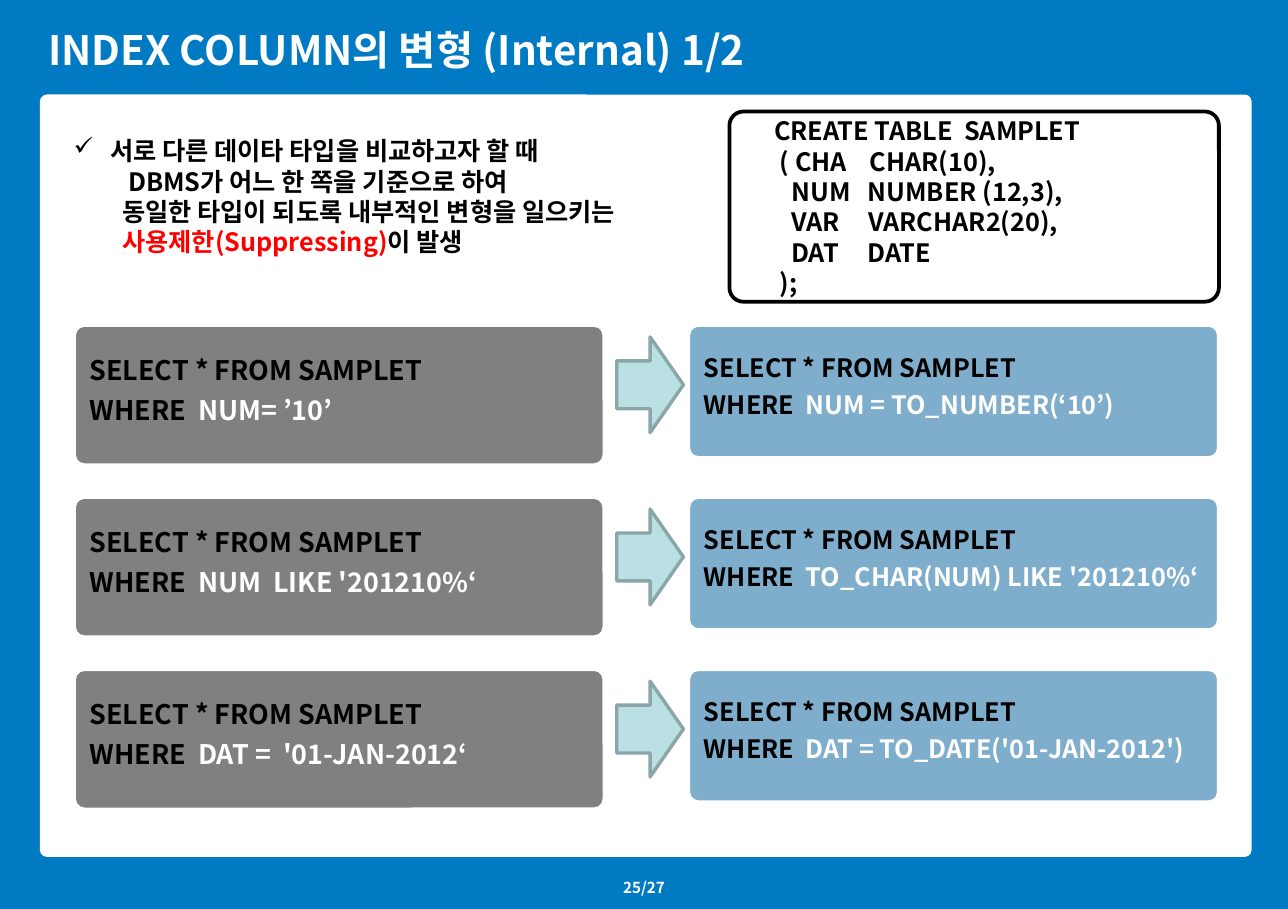
import pptx
import pptx.util
import pptx.dml.color
import pptx.enum.shapes
import pptx.enum.text
import pptx.oxml
import pptx.oxml.ns

Inches, Pt = pptx.util.Inches, pptx.util.Pt
RGBColor = pptx.dml.color.RGBColor
SHAPE = pptx.enum.shapes.MSO_SHAPE
ANCHOR = pptx.enum.text.MSO_ANCHOR
ALIGN = pptx.enum.text.PP_ALIGN

BLUE = RGBColor(0x00, 0x7A, 0xC3)
WHITE = RGBColor(0xFF, 0xFF, 0xFF)
BLACK = RGBColor(0, 0, 0)
RED = RGBColor(0xFF, 0, 0)
GRAY = RGBColor(0x80, 0x80, 0x80)
DEEP_BLUE = RGBColor(0x00, 0x5F, 0x9A)
PALE_TEAL = RGBColor(0xBB, 0xE0, 0xE3)
TEAL_EDGE = RGBColor(0x8A, 0xA6, 0xA8)
FONT = "Noto Sans CJK KR"

QUERIES = [
    ("NUM= ’10’", "NUM = TO_NUMBER(‘10’)"),
    ("NUM  LIKE '201210%‘", "TO_CHAR(NUM) LIKE '201210%‘"),
    ("DAT =  '01-JAN-2012‘", "DAT = TO_DATE('01-JAN-2012')"),
]
TABLE_CODE = [
    "     CREATE TABLE  SAMPLET",
    "      ( CHA    CHAR(10),",
    "        NUM   NUMBER (12,3),",
    "        VAR     VARCHAR2(20),",
    "        DAT     DATE",
    "      );",
]
# Left margin in inches and coloured runs of each line
EXPLANATION = [
    (0.3, [("서로 다른 데이타 타입을 비교하고자 할 때", BLACK)]),
    (0.45, [("DBMS가 어느 한 쪽을 기준으로 하여", BLACK)]),
    (0.4, [("동일한 타입이 되도록 내부적인 변형을 일으키는", BLACK)]),
    (0.4, [("사용제한(Suppressing)", RED), ("이 발생", BLACK)]),
]


def add_xml(parent, tag, **attributes):
    child = pptx.oxml.parse_xml(f"<a:{tag} {pptx.oxml.ns.nsdecls('a')}/>")
    for key, value in attributes.items():
        child.set(key, value)
    parent.append(child)


def write_line(frame, index, runs, size):
    line = frame.paragraphs[0] if index == 0 else frame.add_paragraph()
    line.alignment = ALIGN.LEFT
    for text, color in runs:
        run = line.add_run()
        run.text = text
        run.font.size, run.font.bold, run.font.name = Pt(size), True, FONT
        run.font.color.rgb = color
        add_xml(run.font._element, "ea", typeface=FONT)
    return line


def add_panel(slide, kind, box, fill=None, edge=None, edge_width=1, corner=None):
    panel = slide.shapes.add_shape(kind, *map(Inches, box))
    panel.shadow.inherit = False
    if corner is not None:
        panel.adjustments[0] = corner
    if fill is None:
        panel.fill.background()
    else:
        panel.fill.solid()
        panel.fill.fore_color.rgb = fill
    if edge is None:
        panel.line.fill.background()
    else:
        panel.line.color.rgb = edge
        panel.line.width = Pt(edge_width)
    return panel


def add_text_frame(slide, box, anchor=ANCHOR.TOP):
    frame = slide.shapes.add_textbox(*map(Inches, box)).text_frame
    frame.word_wrap = True
    frame.vertical_anchor = anchor
    return frame


def add_page_frame(slide, width, height):
    slide.background.fill.solid()
    slide.background.fill.fore_color.rgb = BLUE
    add_panel(slide, SHAPE.ROUNDED_RECTANGLE, (0.33, 0.78, 10, 6.29), WHITE, corner=0.009)
    title = add_text_frame(slide, (0.3, 0.11, width - 2, 0.59), ANCHOR.MIDDLE)
    write_line(title, 0, [("INDEX COLUMN의 변형 (Internal) 1/2", WHITE)], 24)
    page_number = add_text_frame(slide, (width / 2 - 1.25, height - 0.3, 2.5, 0.25))
    write_line(page_number, 0, [("25/27", WHITE)], 9).alignment = ALIGN.CENTER


def add_explanation(slide, box):
    frame = add_text_frame(slide, box)
    for index, (margin, runs) in enumerate(EXPLANATION):
        line = write_line(frame, index, runs, 15)
        properties = line._p.get_or_add_pPr()
        properties.set("marL", str(Inches(margin)))
        if index == 0:
            properties.set("indent", str(-Inches(margin)))
            add_xml(properties, "buChar", char="✓")


def add_table_code(slide, box):
    panel = add_panel(slide, SHAPE.ROUNDED_RECTANGLE, box, None, BLACK, 2.25, 0.074)
    frame = panel.text_frame
    frame.word_wrap = True
    frame.vertical_anchor = ANCHOR.MIDDLE
    for index, code in enumerate(TABLE_CODE):
        write_line(frame, index, [(code, BLACK)], 15)


def add_query(slide, box, condition, fill, size):
    panel = add_panel(slide, SHAPE.ROUNDED_RECTANGLE, box, fill, WHITE, corner=0.067)
    frame = panel.text_frame
    frame.word_wrap = True
    frame.vertical_anchor = ANCHOR.MIDDLE
    frame.margin_bottom = Inches(0.09)
    lines = [[("SELECT * FROM SAMPLET", BLACK)],
             [("WHERE  ", BLACK), (condition, WHITE)]]
    for index, runs in enumerate(lines):
        line = write_line(frame, index, runs, size)
        line.line_spacing = 0.8
        if index:
            line.space_before = Pt(size / 2)
    return panel


def add_conversion(slide, box, written, converted):
    left, top, width, height = box
    query_width = 4.36
    add_query(slide, (left, top, query_width, height), written, GRAY, 16)
    result_box = (left + width - query_width, top, query_width, height - 0.06)
    result = add_query(slide, result_box, converted, DEEP_BLUE, 15)
    add_xml(result.fill._xPr.find(".//" + pptx.oxml.ns.qn("a:srgbClr")), "alpha", val="50000")
    arrow_box = (left + query_width + 0.11, top + 0.09, 0.55, 0.79)
    add_panel(slide, SHAPE.RIGHT_ARROW, arrow_box, PALE_TEAL, TEAL_EDGE, 2)


def main():
    deck = pptx.Presentation()
    width, height = 10.63, 7.5
    deck.slide_width, deck.slide_height = Inches(width), Inches(height)
    slide = deck.slides.add_slide(deck.slide_layouts[6])

    # Frame and introduction
    add_page_frame(slide, width, height)
    add_explanation(slide, (0.51, 1.07, 5.32, 1.11))
    add_table_code(slide, (6.02, 0.92, 4.04, 1.57))

    # Written queries and their internal conversions
    for row, (written, converted) in enumerate(QUERIES):
        add_conversion(slide, (0.62, 2.69 + row * 1.42, 9.43, 1.14), written, converted)

    deck.save("out.pptx")


if __name__ == "__main__":
    main()
